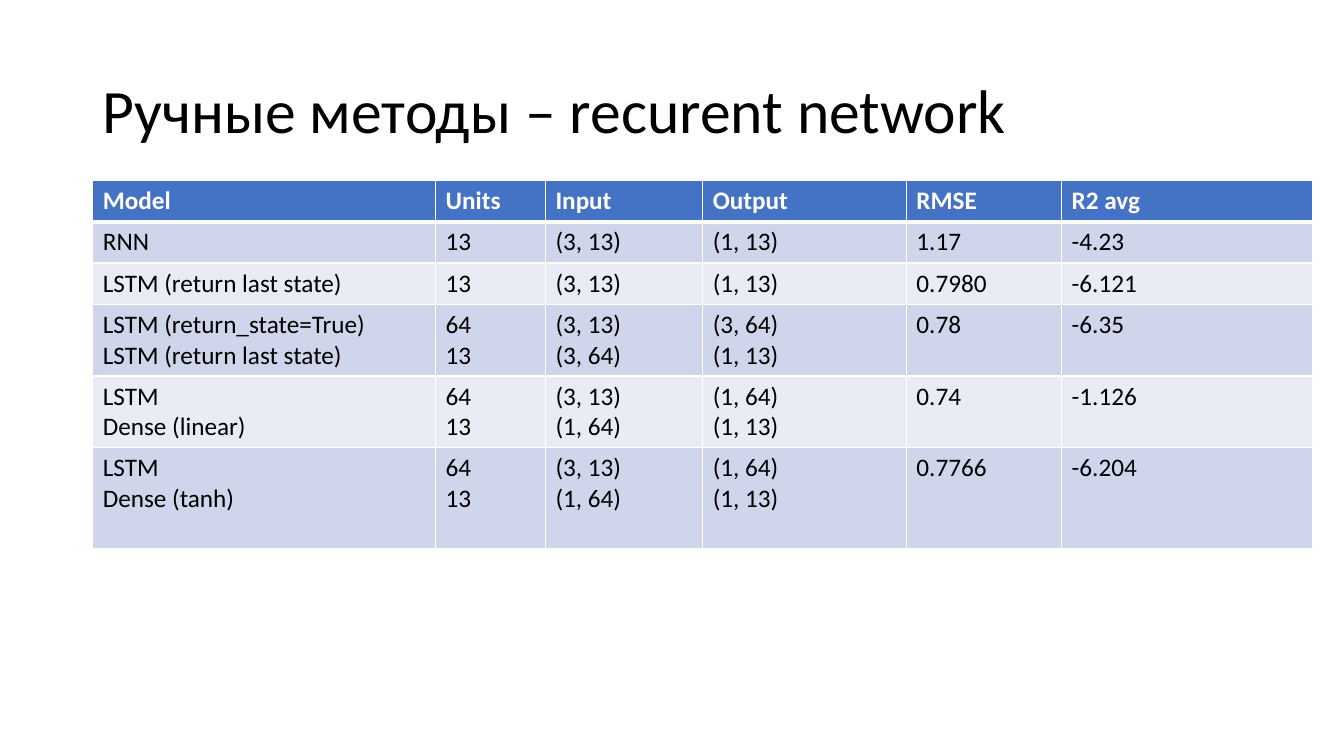
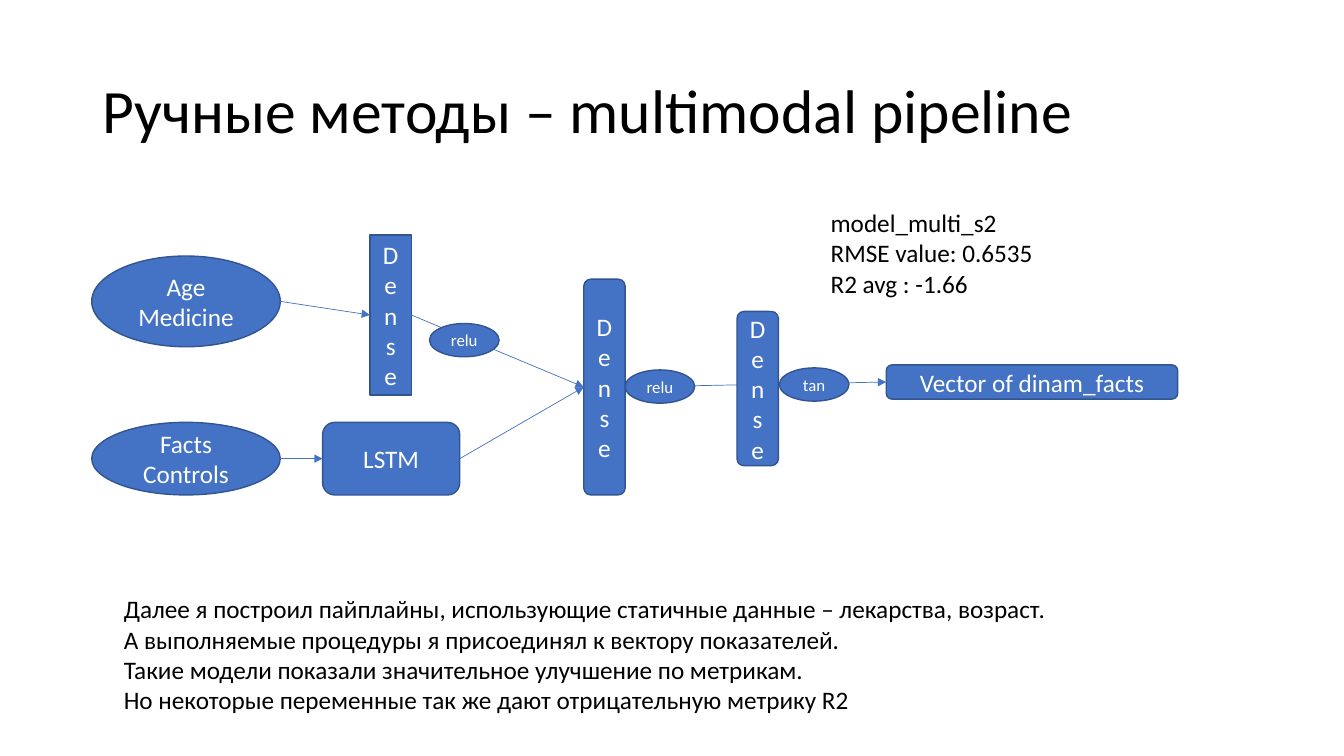
from dataclasses import dataclass

from lxml import etree
from pptx import Presentation
from pptx.dml.color import RGBColor
from pptx.enum.shapes import MSO_CONNECTOR, MSO_SHAPE
from pptx.enum.text import MSO_ANCHOR, MSO_AUTO_SIZE, PP_ALIGN
from pptx.oxml.ns import qn
from pptx.util import Emu, Pt

RECT, ROUNDED, OVAL = MSO_SHAPE.RECTANGLE, MSO_SHAPE.ROUNDED_RECTANGLE, MSO_SHAPE.OVAL
STRAIGHT = MSO_CONNECTOR.STRAIGHT
LEFT, CENTER = PP_ALIGN.LEFT, PP_ALIGN.CENTER
TOP, MIDDLE = MSO_ANCHOR.TOP, MSO_ANCHOR.MIDDLE
NO_AUTOFIT = MSO_AUTO_SIZE.NONE
TITLE_ONLY = 5
LEFT_SITE, RIGHT_SITE, OVAL_RIGHT_SITE = 1, 3, 6


@dataclass(frozen=True)
class Theme:
    font: str = "Calibri"
    text: str = "000000"
    light: str = "FFFFFF"
    accent: str = "4472C4"
    outline: str = "325491"
    bands: tuple = ("CFD5EA", "E9EBF5")
    title_size: int = 44
    body_size: int = 18
    gate_size: int = 12


@dataclass(frozen=True)
class Box:
    left: int
    top: int
    width: int
    height: int

    def inner(self, left, top, width, height):
        return Box(self.left + left, self.top + top, width, height)

    def emu(self):
        return [px(n) for n in (self.left, self.top, self.width, self.height)]


def px(count):
    """Turn px, 100 to the inch, into EMU."""
    return Emu(count * 9144)


THEME = Theme()
PAGE_WIDTH, PAGE_HEIGHT = 1333, 750
TITLE_BOX = Box(92, 40, 1150, 145)

MODEL_COLUMNS = (340, 109, 156, 202, 154, 249)
MODEL_HEIGHTS = (41, 41, 41, 71, 71, 100)
MODEL_ROWS = (
    ("Model", "Units", "Input", "Output", "RMSE", "R2 avg"),
    ("RNN", "13", "(3, 13)", "(1, 13)", "1.17", "-4.23"),
    ("LSTM (return last state)", "13", "(3, 13)", "(1, 13)", "0.7980", "-6.121"),
    ("LSTM (return_state=True)\nLSTM (return last state)", "64\n13",
     "(3, 13)\n(3, 64)", "(3, 64)\n(1, 13)", "0.78", "-6.35"),
    ("LSTM\nDense (linear)", "64\n13", "(3, 13)\n(1, 64)",
     "(1, 64)\n(1, 13)", "0.74", "-1.126"),
    ("LSTM\nDense (tanh)", "64\n13", "(3, 13)\n(1, 64)",
     "(1, 64)\n(1, 13)", "0.7766", "-6.204"),
)

# Name: shape, text, place inside the pipeline
STAGES = {
    "static": (OVAL, "Age\nMedicine", (0, 21, 187, 90)),
    "facts": (OVAL, "Facts\nControls", (0, 186, 187, 72)),
    "static_dense": (RECT, "Dense", (276, 0, 41, 159)),
    "lstm": (ROUNDED, "LSTM", (229, 186, 136, 72)),
    "merge_dense": (ROUNDED, "Dense", (488, 44, 41, 214)),
    "vector": (ROUNDED, "Vector of dinam_facts", (788, 129, 289, 34)),
}
FLOWS = (
    ("static", "static_dense"),
    ("facts", "lstm"),
    ("lstm", "merge_dense"),
    ("static_dense", "merge_dense"),
    ("merge_dense", "vector"),
)
OUTPUT_DENSE = (ROUNDED, "Dense", (640, 76, 41, 153))
GATES = (("relu", 335, 88), ("relu", 529, 134), ("tan", 682, 132))

SCORES = "model_multi_s2\nRMSE value: 0.6535\nR2 avg : -1.66"
CONCLUSIONS = (
    "Далее я построил пайплайны, использующие статичные данные – лекарства, возраст.\n"
    "А выполняемые процедуры я присоединял к вектору показателей.\n"
    "Такие модели показали значительное улучшение по метрикам.\n"
    "Но некоторые переменные так же дают отрицательную метрику R2"
)


def rgb(value):
    return RGBColor.from_string(value)


def paint(fill, color):
    fill.solid()
    fill.fore_color.rgb = rgb(color)


def write(frame, text, size=THEME.body_size, color=THEME.text, align=LEFT,
          bold=False, spacing=None):
    """Write each line of the text as a paragraph."""
    for index, line in enumerate(text.split("\n")):
        para = frame.add_paragraph() if index else frame.paragraphs[0]
        para.alignment = align
        if spacing:
            para.line_spacing = spacing
        span = para.add_run()
        span.text = line
        span.font.name = THEME.font
        span.font.size = Pt(size)
        span.font.bold = bold
        span.font.color.rgb = rgb(color)


def add_titled_page(deck, title):
    page = deck.slides.add_slide(deck.slide_layouts[TITLE_ONLY])
    holder = page.shapes.title
    holder.left, holder.top, holder.width, holder.height = TITLE_BOX.emu()
    frame = holder.text_frame
    frame.auto_size = NO_AUTOFIT
    frame.vertical_anchor = MIDDLE
    write(frame, title, THEME.title_size, spacing=0.9)
    return page


def add_note(page, box, text):
    frame = page.shapes.add_textbox(*box.emu()).text_frame
    frame.word_wrap = True
    frame.vertical_anchor = TOP
    write(frame, text)


def set_borders(cell, top, bottom):
    """Draw white cell borders; top and bottom widths are in points."""
    properties = cell._tc.get_or_add_tcPr()
    widths = {"a:lnL": 1, "a:lnR": 1, "a:lnT": top, "a:lnB": bottom}
    for index, (tag, width) in enumerate(widths.items()):
        line = etree.Element(qn(tag), w=str(Pt(width)))
        fill = etree.SubElement(line, qn("a:solidFill"))
        etree.SubElement(fill, qn("a:srgbClr"), val=THEME.light)
        properties.insert(index, line)


def add_model_table(page, box):
    table = page.shapes.add_table(len(MODEL_ROWS), len(MODEL_COLUMNS), *box.emu()).table
    table.horz_banding = False
    for column, width in zip(table.columns, MODEL_COLUMNS):
        column.width = px(width)
    for row_index, (values, height) in enumerate(zip(MODEL_ROWS, MODEL_HEIGHTS)):
        table.rows[row_index].height = px(height)
        header = row_index == 0
        background = THEME.accent if header else THEME.bands[(row_index - 1) % 2]
        for column_index, value in enumerate(values):
            cell = table.cell(row_index, column_index)
            paint(cell.fill, background)
            set_borders(cell, top=3 if row_index == 1 else 1, bottom=3 if header else 1)
            write(cell.text_frame, value, bold=header,
                  color=THEME.light if header else THEME.text)


def add_stage(page, box, kind, text, size=THEME.body_size):
    stage = page.shapes.add_shape(kind, *box.emu())
    stage.shadow.inherit = False
    paint(stage.fill, THEME.accent)
    stage.line.color.rgb = rgb(THEME.outline)
    stage.line.width = Pt(1)
    frame = stage.text_frame
    frame.word_wrap = True
    frame.vertical_anchor = MIDDLE
    write(frame, text, size, THEME.light, CENTER)
    return stage


def add_flow(page, source, target):
    """Glue an arrow from the right side of one stage to the left of another."""
    flow = page.shapes.add_connector(STRAIGHT, 0, 0, 0, 0)
    flow.begin_connect(source, RIGHT_SITE)
    flow.end_connect(target, LEFT_SITE)
    if source.auto_shape_type == OVAL:
        flow._element.find(".//" + qn("a:stCxn")).set("idx", str(OVAL_RIGHT_SITE))
    flow.line.color.rgb = rgb(THEME.accent)
    flow.line.width = Pt(0.5)
    properties = flow._element.spPr
    etree.SubElement(properties.find(qn("a:ln")), qn("a:tailEnd"), type="triangle")
    etree.SubElement(properties, qn("a:effectLst"))


def add_pipeline(page, box):
    stages = {
        name: add_stage(page, box.inner(*place), kind, text)
        for name, (kind, text, place) in STAGES.items()
    }
    for source, target in FLOWS:
        add_flow(page, stages[source], stages[target])
    kind, text, place = OUTPUT_DENSE
    add_stage(page, box.inner(*place), kind, text)
    for name, left, top in GATES:
        add_stage(page, box.inner(left, top, 69, 33), OVAL, name, THEME.gate_size)


def main():
    deck = Presentation()
    deck.slide_width, deck.slide_height = px(PAGE_WIDTH), px(PAGE_HEIGHT)

    page = add_titled_page(deck, "Ручные методы – recurent network")
    add_model_table(page, Box(92, 179, sum(MODEL_COLUMNS), sum(MODEL_HEIGHTS)))

    page = add_titled_page(deck, "Ручные методы – multimodal pipeline")
    add_pipeline(page, Box(91, 233, 1077, 258))
    add_note(page, Box(814, 201, 223, 101), SCORES)
    add_note(page, Box(113, 584, 960, 131), CONCLUSIONS)

    deck.save("out.pptx")


if __name__ == "__main__":
    main()
